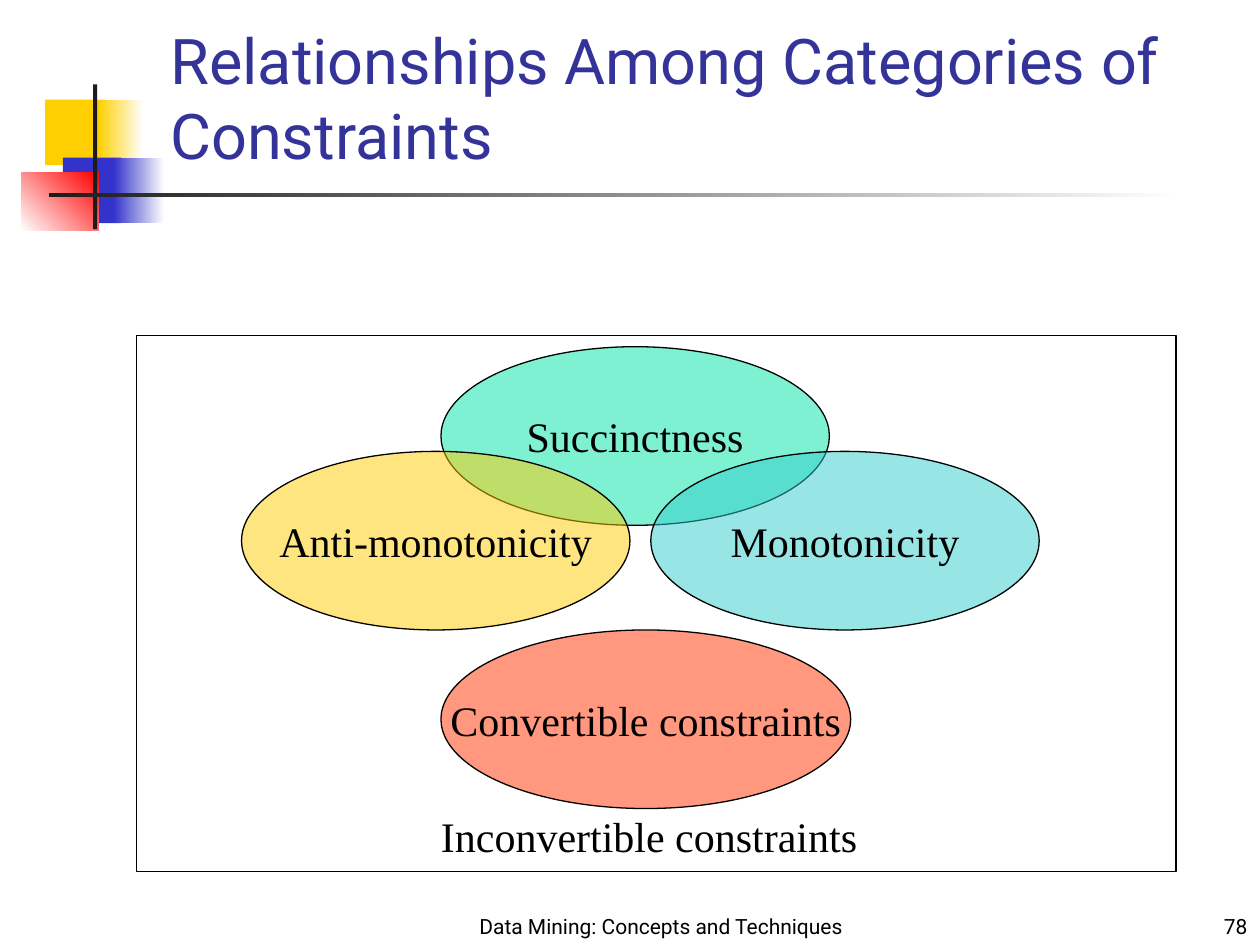
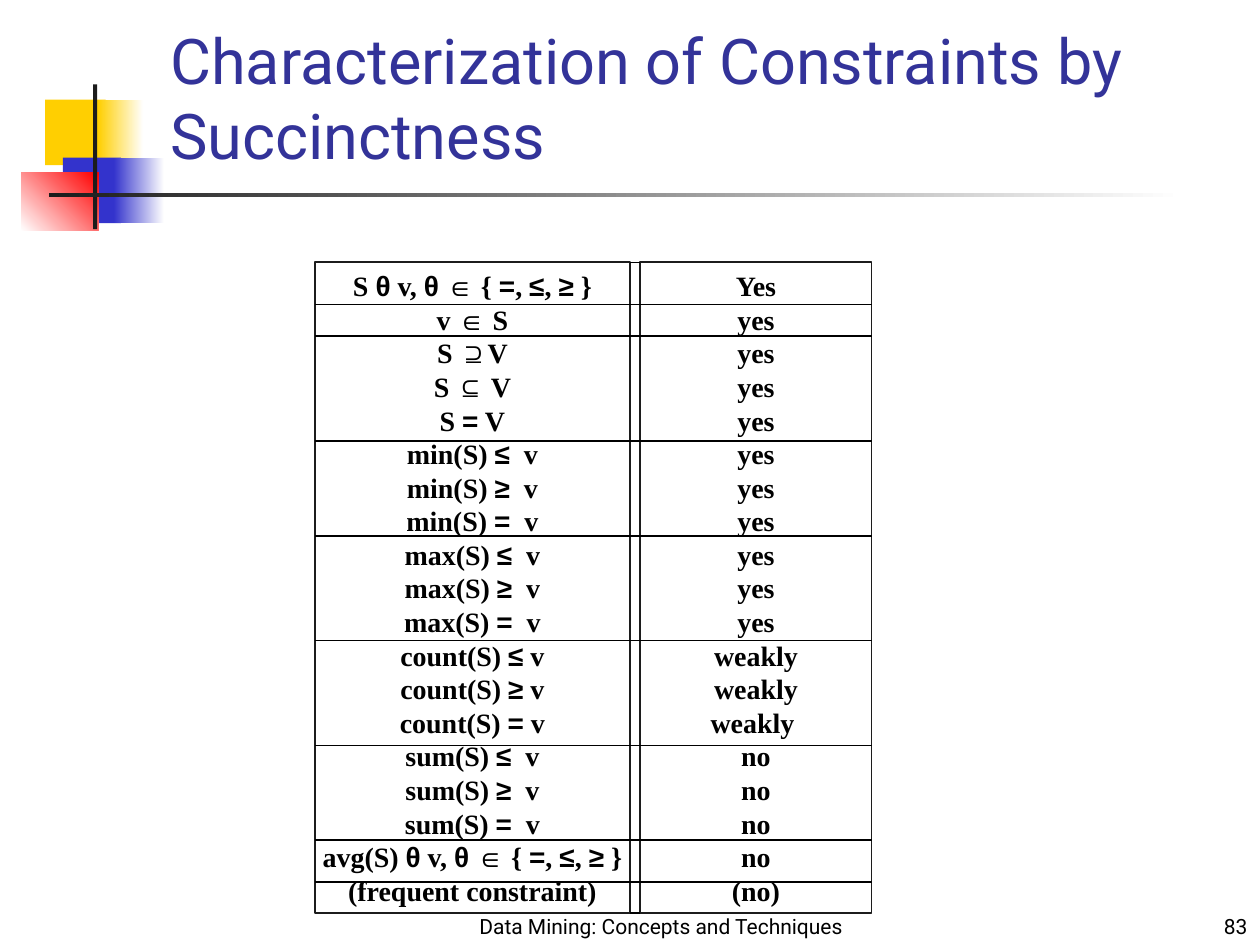
from dataclasses import dataclass
from itertools import groupby
from typing import Any

from lxml import etree
from pptx import Presentation
from pptx import util as u
from pptx.dml import color
from pptx.enum import shapes, text
from pptx.oxml import ns

BLACK, CHARCOAL, WHITE = "000000", "1C1C1C", "FFFFFF"
GOLD, BLUE, RED, TITLE_BLUE = "FFCF01", "3333CC", "FF0000", "333399"
SANS, SERIF, SYMBOL_FONT = "Roboto", "Times New Roman", "Arial"
MATH_SYMBOLS = "θ∈⊇⊆≤≥="
COURSE = "Data Mining: Concepts and Techniques"
RECT, OVAL = shapes.MSO_SHAPE.RECTANGLE, shapes.MSO_SHAPE.OVAL
ALIGN, ANCHOR = text.PP_ALIGN, text.MSO_ANCHOR


@dataclass(frozen=True)
class Box:
    left: float
    top: float
    width: float
    height: float

    def lengths(self) -> list[u.Length]:
        return [u.Cm(v) for v in (self.left, self.top, self.width, self.height)]


@dataclass(frozen=True)
class Block:
    box: Box
    start: str
    end: str = ""
    angle: float = 0


@dataclass(frozen=True)
class Category:
    label: str
    box: Box
    tint: str


@dataclass(frozen=True)
class TextStyle:
    size: float
    font: str
    tint: str = BLACK
    bold: bool = False
    align: Any = ALIGN.LEFT
    anchor: Any = ANCHOR.TOP
    wrap: bool = True


FOOTER = TextStyle(12, SANS, align=ALIGN.CENTER, anchor=ANCHOR.BOTTOM)
PAGE_NUMBER = TextStyle(12, SANS, align=ALIGN.RIGHT, anchor=ANCHOR.BOTTOM)
HEADING = TextStyle(36, SANS, TITLE_BLUE, anchor=ANCHOR.BOTTOM)
CATEGORY = TextStyle(24, SERIF, align=ALIGN.CENTER, anchor=ANCHOR.MIDDLE, wrap=False)
CAPTION = TextStyle(24, SERIF, wrap=False)
COLUMN = TextStyle(16, SERIF, bold=True, align=ALIGN.CENTER,
                   anchor=ANCHOR.MIDDLE, wrap=False)

MOTIF = [
    Block(Box(0.91, 2.01, 1.22, 1.32), GOLD),
    Block(Box(1.98, 2.01, 0.91, 1.32), GOLD, WHITE),
    Block(Box(1.27, 3.18, 1.17, 1.32), BLUE),
    Block(Box(2.29, 3.18, 1.02, 1.32), BLUE, WHITE),
    Block(Box(0.43, 3.48, 1.55, 1.17), WHITE, RED, 45),
    Block(Box(1.88, 1.7, 0.08, 2.92), CHARCOAL),
    Block(Box(0.99, 3.89, 22.86, 0.08), CHARCOAL, WHITE),
]

CATEGORIES = [
    Category("Succinctness", Box(8.89, 6.99, 7.83, 3.6), "00E4A8"),
    Category("Anti-monotonicity", Box(4.87, 9.1, 7.83, 3.6), "FFCC00"),
    Category("Monotonicity", Box(13.12, 9.1, 7.83, 3.6), "33CCCC"),
    Category("Convertible constraints", Box(8.89, 12.7, 8.26, 3.6), "FF3300"),
]

CONSTRAINTS = [
    "S θ v, θ ∈ { =, ≤, ≥ }", "v ∈ S", "S ⊇V", "S ⊆ V", "S = V",
    *(f"{aggregate}(S) {sign}{gap}v"
      for aggregate, gap in (("min", "  "), ("max", "  "), ("count", " "), ("sum", "  "))
      for sign in "≤≥="),
    "avg(S) θ v, θ ∈ { =, ≤, ≥ }", "(frequent constraint)",
]
ANSWERS = ["Yes", *["yes"] * 10, "weakly", "weakly", "weakly ", *["no"] * 4, "(no)"]
CONSTRAINT_BOX = Box(6.35, 5.29, 6.35, 13.12)
ANSWER_BOX = Box(12.91, 5.29, 4.66, 13.12)
ROW_RULES = [6.14, 6.77, 8.89, 10.8, 12.91, 15.03, 16.93, 17.78]


def rgb(value: str) -> color.RGBColor:
    return color.RGBColor.from_string(value)


def apply(target: Any, values: dict[str, Any]) -> None:
    for attribute, value in values.items():
        setattr(target, attribute, value)


def write(frame: Any, lines: list[str], style: TextStyle) -> None:
    apply(frame, {"word_wrap": style.wrap, "vertical_anchor": style.anchor,
                  "auto_size": text.MSO_AUTO_SIZE.NONE})
    for index, line in enumerate(lines):
        paragraph = frame.add_paragraph() if index else frame.paragraphs[0]
        paragraph.alignment = style.align
        for symbolic, letters in groupby(line, lambda letter: letter in MATH_SYMBOLS):
            run = paragraph.add_run()
            run.text = "".join(letters)
            apply(run.font, {"size": u.Pt(style.size), "bold": style.bold,
                             "name": SYMBOL_FONT if symbolic else style.font})
            run.font.color.rgb = rgb(style.tint)


def add_text(slide: Any, box: Box, line: str, style: TextStyle) -> None:
    write(slide.shapes.add_textbox(*box.lengths()).text_frame, [line], style)


def add_outline(slide: Any, kind: Any, box: Box, tint: str, weight: float) -> Any:
    outline = slide.shapes.add_shape(kind, *box.lengths())
    outline.shadow.inherit = False
    outline.fill.background()
    outline.line.color.rgb = rgb(tint)
    outline.line.width = u.Pt(weight)
    return outline


def add_category(slide: Any, category: Category) -> None:
    oval = add_outline(slide, OVAL, category.box, BLACK, 0.75)
    oval.fill.solid()
    oval.fill.fore_color.rgb = rgb(category.tint)
    tint = oval.element.spPr.find(ns.qn("a:solidFill"))[0]
    etree.SubElement(tint, ns.qn("a:alpha"), val="50000")
    write(oval.text_frame, [category.label], CATEGORY)


def add_column(slide: Any, box: Box, lines: list[str]) -> None:
    column = add_outline(slide, RECT, box, CHARCOAL, 1)
    write(column.text_frame, lines, COLUMN)


def add_rule(slide: Any, start: float, end: float, level: float) -> None:
    rule = slide.shapes.add_connector(
        shapes.MSO_CONNECTOR.STRAIGHT,
        u.Cm(start), u.Cm(level), u.Cm(end), u.Cm(level))
    rule.line.color.rgb = rgb(BLACK)
    rule.line.width = u.Pt(1)
    etree.SubElement(rule.element.spPr, ns.qn("a:effectLst"))


def add_block(slide: Any, block: Block) -> Any:
    part = slide.shapes.add_shape(RECT, *block.box.lengths())
    part.shadow.inherit = False
    part.line.fill.background()
    if block.end:
        part.fill.gradient()
        part.fill.gradient_angle = block.angle
        for stop, tint in zip(part.fill.gradient_stops, (block.start, block.end)):
            stop.color.rgb = rgb(tint)
    else:
        part.fill.solid()
        part.fill.fore_color.rgb = rgb(block.start)
    return part


def move_motif_to_layout(slide: Any) -> None:
    for block in MOTIF:
        slide.slide_layout.shapes.element.append(add_block(slide, block).element)


def add_page(deck: Any, heading: str, number: int) -> Any:
    slide = deck.slides.add_slide(deck.slide_layouts[5])
    title = slide.shapes.title
    places = Box(3.18, 1.91, 21.64, 1.69).lengths()
    apply(title, dict(zip(("left", "top", "width", "height"), places)))
    write(title.text_frame, [heading], HEADING)
    add_text(slide, Box(9.31, 17.99, 8.04, 1.06), COURSE, FOOTER)
    add_text(slide, Box(20.11, 17.99, 5.29, 1.06), str(number), PAGE_NUMBER)
    return slide


def build_relationships(deck: Any) -> None:
    slide = add_page(deck, "Relationships Among Categories of Constraints", 78)
    move_motif_to_layout(slide)
    for category in CATEGORIES:
        add_category(slide, category)
    add_text(slide, Box(8.64, 16.21, 8.89, 1.27), "Inconvertible constraints", CAPTION)
    add_outline(slide, RECT, Box(2.75, 6.77, 20.96, 10.8), BLACK, 0.75)


def build_characterization(deck: Any) -> None:
    slide = add_page(deck, "Characterization of Constraints by Succinctness", 83)
    add_column(slide, CONSTRAINT_BOX, CONSTRAINTS)
    add_column(slide, ANSWER_BOX, ANSWERS)
    for level in ROW_RULES:
        add_rule(slide, CONSTRAINT_BOX.left, ANSWER_BOX.left + ANSWER_BOX.width, level)
    for level in (ANSWER_BOX.top, ANSWER_BOX.top + ANSWER_BOX.height):
        add_rule(slide, CONSTRAINT_BOX.left + CONSTRAINT_BOX.width, ANSWER_BOX.left, level)


def main() -> None:
    deck = Presentation()
    apply(deck, {"slide_width": u.Cm(25.4), "slide_height": u.Cm(19.05)})
    build_relationships(deck)
    build_characterization(deck)
    deck.save("out.pptx")


if __name__ == "__main__":
    main()
